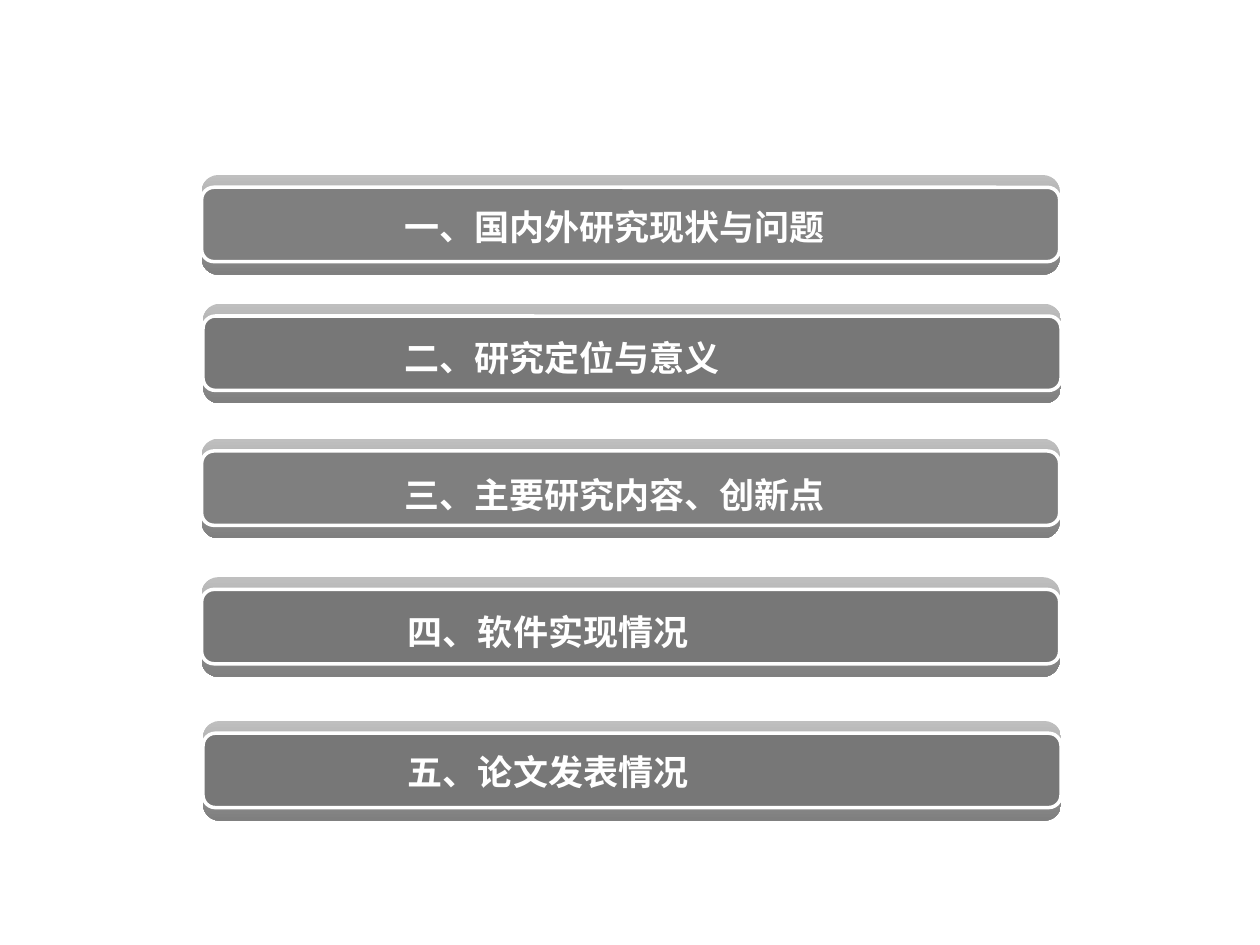
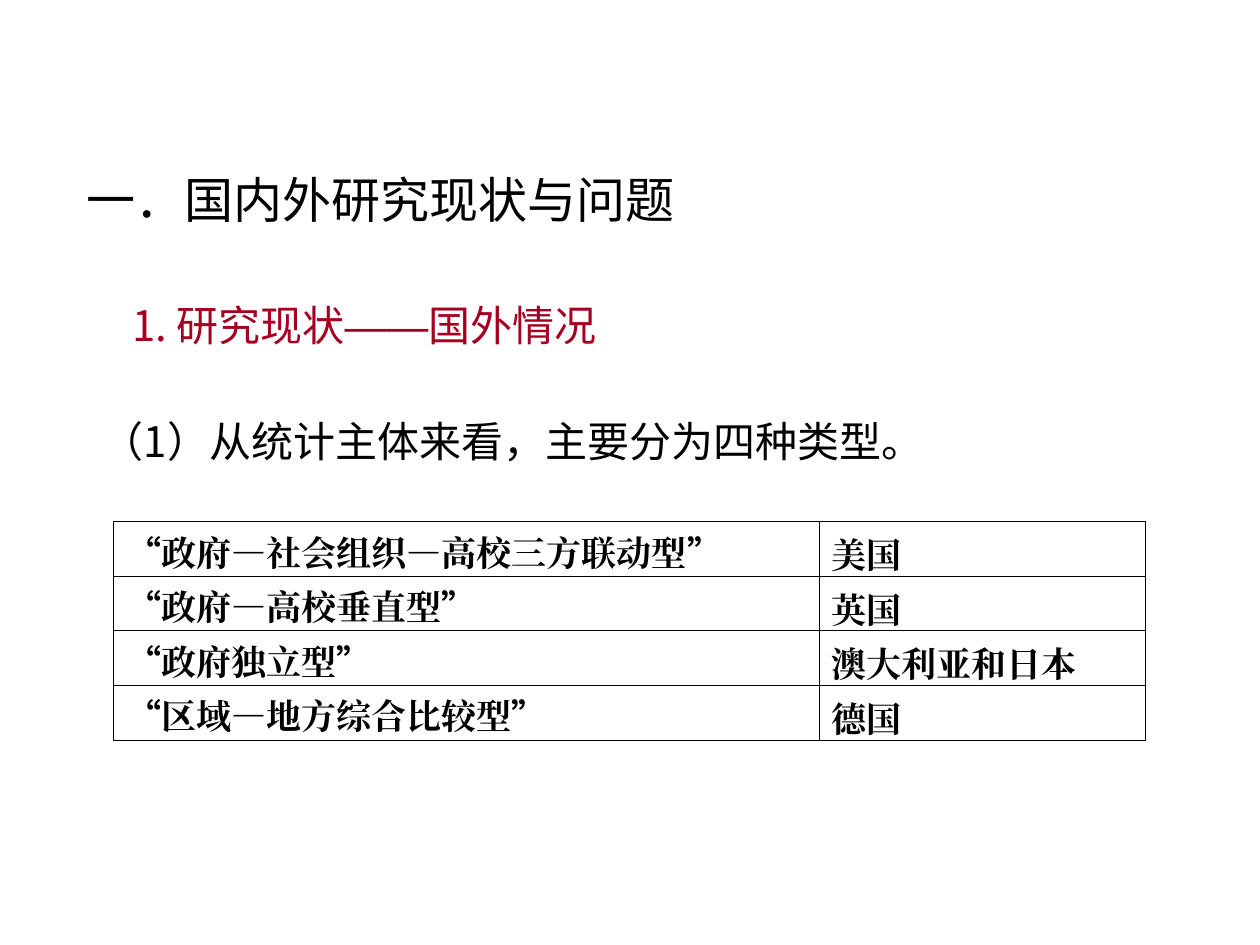
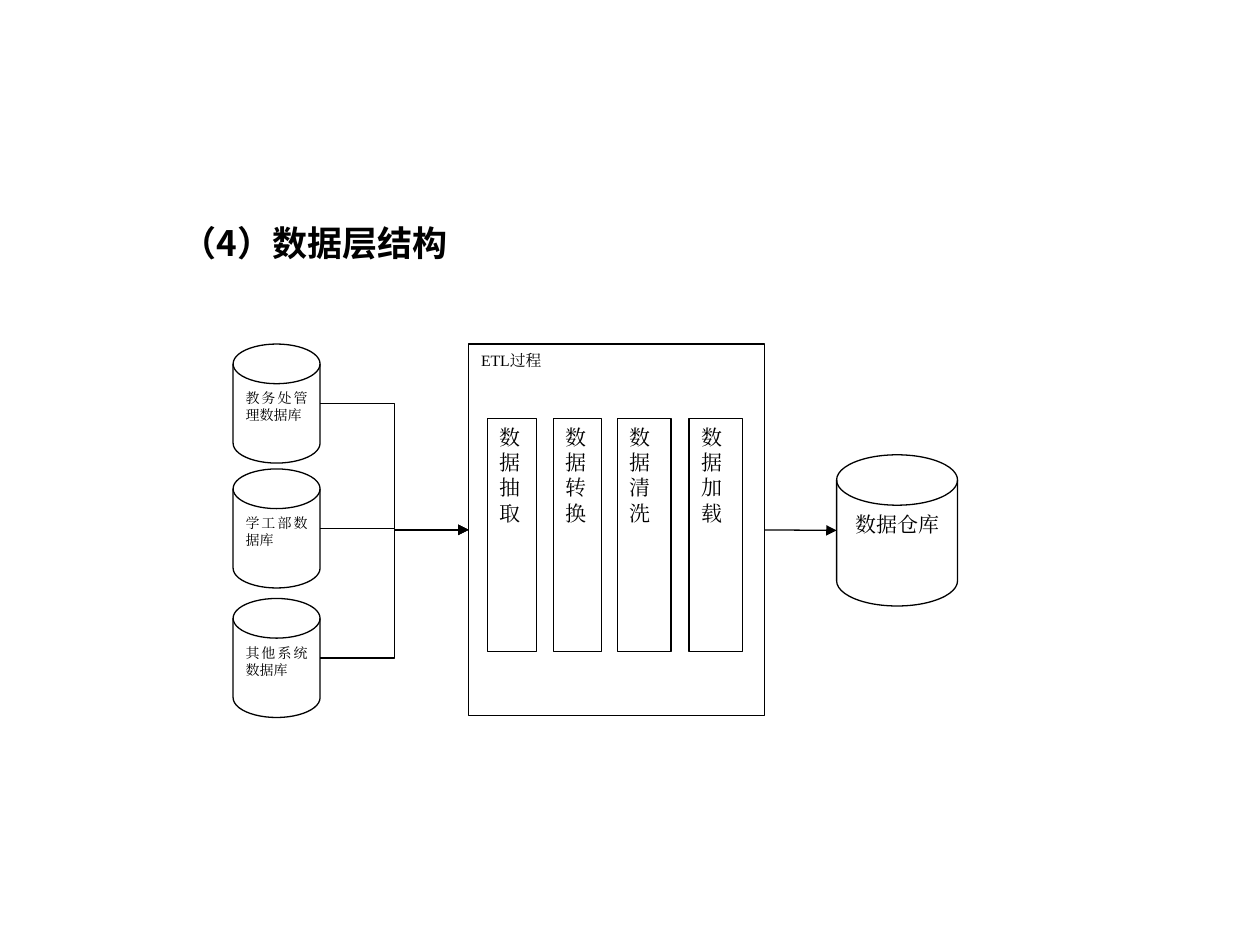
from itertools import groupby

from lxml import etree
from pptx import Presentation
from pptx import util as u
from pptx.dml import color
from pptx.enum import shapes, text
from pptx.oxml import ns

Pt = u.Pt
COLORS = {
    "black": "000000",
    "white": "FFFFFF",
    "bar": "7F7F7F",
    "dark_bar": "777777",
    "bar_top": "BFBFBF",
    "accent": "A50021",
}
SANS, SERIF, DASH = "Noto Sans CJK SC", "Times New Roman", "Arial"
TITLE_ONLY, BLANK = 5, 6

AGENDA = [
    ("一、国内外研究现状与问题", "bar", (115.2, 100), (224, 113.8, 492)),
    ("二、研究定位与意义", "dark_bar", (116, 173.6), (224, 188.6, 471)),
    ("三、主要研究内容、创新点", "bar", (115.2, 250.7), (224, 267.1, 495)),
    ("四、软件实现情况", "dark_bar", (115.2, 329.8), (226, 345.6, 440)),
    ("五、论文发表情况", "dark_bar", (116, 412), (226, 425.5, 440)),
]
BAR_WIDTH, BAR_HEIGHT, FACE_HEIGHT, FACE_OFFSET = 490.3, 56.9, 42.5, 7

STATUS_TITLE = "一．国内外研究现状与问题"
STATUS_HEADING = [("1. 研究现状", SANS), ("——", DASH), ("国外情况", SANS)]
STATUS_POINT = "（1）从统计主体来看，主要分为四种类型。"
MODELS = [
    ("“政府—社会组织—高校三方联动型”", "美国"),
    ("“政府—高校垂直型”", "英国"),
    ("“政府独立型”", "澳大利亚和日本"),
    ("“区域—地方综合比较型”", "德国"),
]
MODEL_COLUMNS = (403.2, 186.4)
MODEL_ROW = 31.2

DATA_TITLE = "（4）数据层结构"
SOURCES = [("教务处管理数据库", 196.6), ("学工部数据库", 268), ("其他系统数据库", 342)]
SOURCE_LEFT, SOURCE_WIDTH, SOURCE_HEIGHT = 133.2, 49.7, 68
ETL = ("ETL过程", (267.8, 196.6, 169.2, 212.4))
STEPS = [
    ("数据抽取", 278.6, 28.1),
    ("数据转换", 316.1, 27.7),
    ("数据清洗", 352.8, 30.6),
    ("数据加载", 393.8, 30.6),
]
STEP_TOP, STEP_HEIGHT = 239, 133.2
WAREHOUSE = ("数据仓库", (478.1, 259.9, 69.1, 86.4))


def rgb(name):
    return color.RGBColor.from_string(COLORS[name])


def box(frame):
    return [Pt(value) for value in frame]


def write(frame, runs, size, ink="black", bold=False, align=text.PP_ALIGN.LEFT,
          anchor=text.MSO_ANCHOR.TOP, spacing=None, before=0):
    frame.vertical_anchor = anchor
    paragraph = frame.paragraphs[0]
    paragraph.alignment = align
    paragraph.space_before = Pt(before)
    if spacing:
        paragraph.line_spacing = spacing
    for words, font in runs:
        run = paragraph.add_run()
        run.text = words
        run.font.size = Pt(size)
        run.font.bold = bold
        run.font.color.rgb = rgb(ink)
        run.font.name = font
        east = etree.SubElement(run.font._element, ns.qn("a:ea"))
        east.set("typeface", font)


def add_text(slide, place, runs, size, wrap=True, **style):
    frame = slide.shapes.add_textbox(*box(place)).text_frame
    frame.word_wrap = wrap
    write(frame, runs, size, **style)


def add_title(slide, words, place, size, inset=3.6, **style):
    title = slide.shapes.title
    title.left, title.top, title.width, title.height = box(place)
    frame = title.text_frame
    frame.auto_size = text.MSO_AUTO_SIZE.NONE
    frame.margin_top = frame.margin_bottom = Pt(inset)
    write(frame, [(words, SANS)], size, spacing=1.8, **style)


def add_block(holder, preset, place, fill="white", line="black", weight=0.75):
    block = holder.shapes.add_shape(preset, *box(place))
    block.shadow.inherit = False
    block.fill.solid()
    block.fill.fore_color.rgb = rgb(fill)
    if line:
        block.line.color.rgb = rgb(line)
        block.line.width = Pt(weight)
    else:
        block.line.fill.background()
    return block


def add_node(slide, preset, place, words, size, align=text.PP_ALIGN.JUSTIFY):
    node = add_block(slide, preset, place)
    write(node.text_frame, [(words, SERIF)], size, align=align)
    return node


def add_arrow(slide, kind, start, end):
    arrow = slide.shapes.add_connector(kind, *box(start + end))
    arrow.line.color.rgb = rgb("black")
    arrow.line.width = Pt(0.75)
    line = arrow.line._get_or_add_ln()
    etree.SubElement(line, ns.qn("a:tailEnd")).set("type", "triangle")
    etree.SubElement(line.getparent(), ns.qn("a:effectLst"))
    return arrow


def add_borders(cell):
    properties = cell._tc.get_or_add_tcPr()
    for index, side in enumerate(("lnL", "lnR", "lnT", "lnB")):
        line = etree.Element(ns.qn("a:" + side), w=str(Pt(0.45)))
        fill = etree.SubElement(line, ns.qn("a:solidFill"))
        etree.SubElement(fill, ns.qn("a:srgbClr")).set("val", COLORS["black"])
        properties.insert(index, line)


def model_runs(words):
    return [("".join(part), SANS if mark else SERIF)
            for mark, part in groupby(words, lambda letter: letter in "“”—")]


def build_agenda(deck):
    slide = deck.slides.add_slide(deck.slide_layouts[BLANK])
    rounded = shapes.MSO_SHAPE.ROUNDED_RECTANGLE
    for words, face, (left, top), (text_left, text_top, width) in AGENDA:
        bar = slide.shapes.add_group_shape()
        base = add_block(bar, rounded, (left, top, BAR_WIDTH, BAR_HEIGHT), line=None)
        base.fill.gradient()
        base.fill.gradient_angle = 270
        for stop, shade in zip(base.fill.gradient_stops, ("bar_top", "bar")):
            stop.color.rgb = rgb(shade)
        add_block(bar, rounded, (left, top + FACE_OFFSET, BAR_WIDTH, FACE_HEIGHT),
                  face, "white", 2)
        add_text(slide, (text_left, text_top, width, 31.7), [(words, SANS)], 20,
                 ink="white", bold=True)


def build_status(deck):
    slide = deck.slides.add_slide(deck.slide_layouts[TITLE_ONLY])
    add_title(slide, STATUS_TITLE, (42.5, 66.2, 360, 67.7), 28)
    add_text(slide, (51.1, 219.6, 614.9, 50.4), [(STATUS_POINT, SANS)], 24,
             spacing=1.5, before=15)
    models = slide.shapes.add_table(
        len(MODELS), len(MODEL_COLUMNS),
        *box((64.8, 298.1, sum(MODEL_COLUMNS), MODEL_ROW * len(MODELS)))).table
    models.first_row = models.horz_banding = False
    for column, width in zip(models.columns, MODEL_COLUMNS):
        column.width = Pt(width)
    for row, model in zip(models.rows, MODELS):
        row.height = Pt(MODEL_ROW)
        for cell, words in zip(row.cells, model):
            cell.fill.background()
            add_borders(cell)
            cell.margin_top, cell.margin_bottom = Pt(2), Pt(0)
            write(cell.text_frame, model_runs(words), 20, bold=True)
            cell.vertical_anchor = text.MSO_ANCHOR.BOTTOM
    add_text(slide, (68.4, 167.8, 286.6, 36), STATUS_HEADING, 24, wrap=False,
             ink="accent")


def build_data_layer(deck):
    slide = deck.slides.add_slide(deck.slide_layouts[TITLE_ONLY])
    add_title(slide, DATA_TITLE, (96.5, 94.3, 240.5, 69.1), 20, inset=13,
              bold=True, anchor=text.MSO_ANCHOR.MIDDLE)
    disk = shapes.MSO_SHAPE.FLOWCHART_MAGNETIC_DISK
    rectangle = shapes.MSO_SHAPE.RECTANGLE
    etl_name, etl_place = ETL
    etl = add_node(slide, rectangle, etl_place, etl_name, 9)
    for words, top in SOURCES:
        add_node(slide, disk, (SOURCE_LEFT, top, SOURCE_WIDTH, SOURCE_HEIGHT), words, 8)
        start = (SOURCE_LEFT + SOURCE_WIDTH, top + SOURCE_HEIGHT / 2)
        feed = add_arrow(slide, shapes.MSO_CONNECTOR.ELBOW, start, etl_place[:2])
        feed.end_connect(etl, 1)
    for words, left, width in STEPS:
        add_node(slide, rectangle, (left, STEP_TOP, width, STEP_HEIGHT), words, 12)
    name, place = WAREHOUSE
    add_node(slide, disk, place, name, 12, text.PP_ALIGN.CENTER)
    left, top, _, height = place
    load = add_arrow(slide, shapes.MSO_CONNECTOR.STRAIGHT, etl_place[:2],
                     (left, top + height / 2))
    load.begin_connect(etl, 3)


def main():
    deck = Presentation()
    deck.slide_width, deck.slide_height = Pt(720), Pt(540)
    build_agenda(deck)
    build_status(deck)
    build_data_layer(deck)
    deck.save("out.pptx")


if __name__ == "__main__":
    main()
